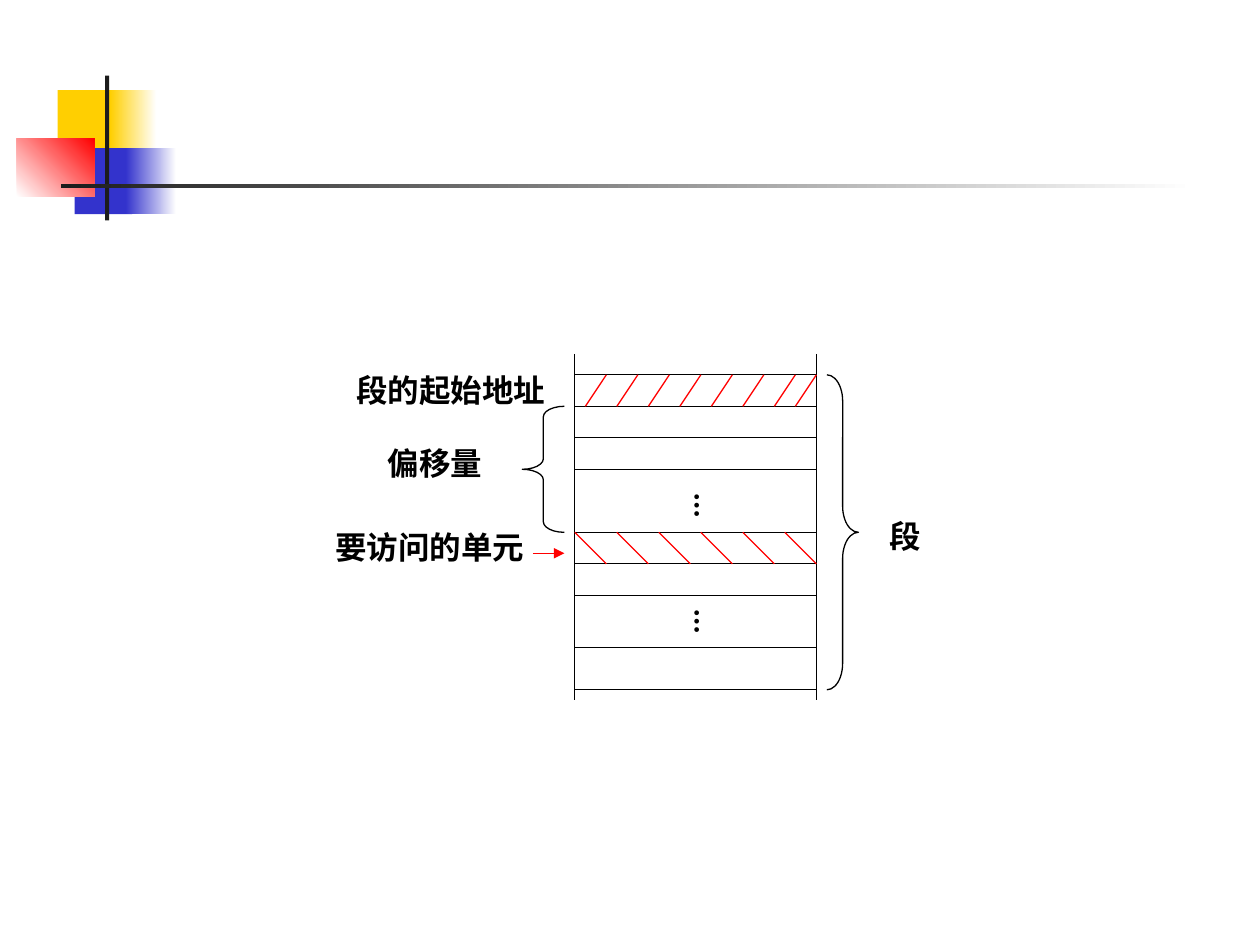
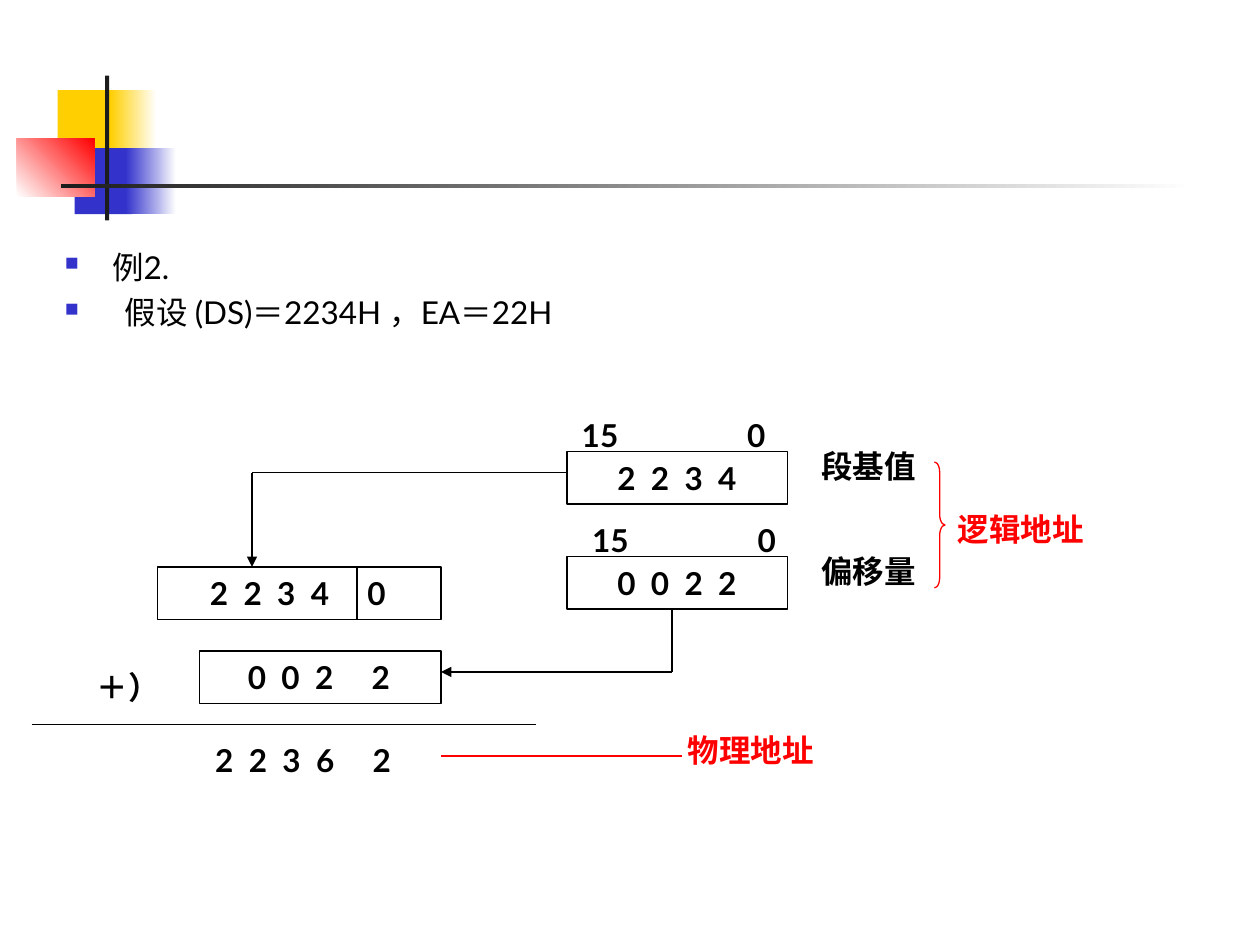
from dataclasses import dataclass
from itertools import accumulate

from lxml import etree
from pptx import Presentation
from pptx.dml.color import RGBColor
from pptx.enum.shapes import MSO_CONNECTOR, MSO_SHAPE
from pptx.enum.text import MSO_ANCHOR, MSO_AUTO_SIZE, PP_ALIGN
from pptx.oxml.ns import qn
from pptx.util import Inches, Pt

RECT = MSO_SHAPE.RECTANGLE
LEFT, RIGHT = MSO_SHAPE.LEFT_BRACE, MSO_SHAPE.RIGHT_BRACE
LINE = MSO_CONNECTOR.STRAIGHT
MID, TOP = MSO_ANCHOR.MIDDLE, MSO_ANCHOR.TOP
GROW = MSO_AUTO_SIZE.SHAPE_TO_FIT_TEXT
START, CENTRE = PP_ALIGN.LEFT, PP_ALIGN.CENTER

BLACK = RGBColor(0x00, 0x00, 0x00)
WHITE = RGBColor(0xFF, 0xFF, 0xFF)
RED = RGBColor(0xFF, 0x00, 0x00)
GOLD = RGBColor(0xFF, 0xCF, 0x01)
BLUE = RGBColor(0x33, 0x33, 0xCC)
DARK = RGBColor(0x1C, 0x1C, 0x1C)

FACE = "Lato"
SIZE = Pt(18)
THIN = Pt(0.75)
WIDE, TALL = Inches(10), Inches(7.5)
COLS = 120                 # square grid: 120 columns by 90 rows
UNIT = WIDE / COLS
PAD = 1.2                  # side padding of a text box, in columns
LABEL = 4.8                # height of a one-line label, in rows


@dataclass(frozen=True)
class Area:
    """A slide with the grid point that its parts are measured from."""
    slide: object
    col: float = 0
    row: float = 0

    def point(self, col: float, row: float) -> tuple:
        return span(self.col + col), span(self.row + row)

    def box(self, col: float, row: float, wide: float, tall: float) -> tuple:
        return *self.point(col, row), span(wide), span(tall)


@dataclass(frozen=True)
class Block:
    place: tuple
    tint: RGBColor
    end: RGBColor | None = None
    angle: int = 0


@dataclass(frozen=True)
class Rule:
    start: tuple
    stop: tuple
    tint: RGBColor = BLACK
    arrow: bool = False


@dataclass(frozen=True)
class Label:
    text: str
    col: float
    row: float
    wide: float
    tint: RGBColor = BLACK


@dataclass(frozen=True)
class Brace:
    kind: MSO_SHAPE
    place: tuple
    curl: float
    tint: RGBColor = BLACK


@dataclass(frozen=True)
class Digits:
    """Figures spread over tab stops; first and gaps are in columns."""
    marks: tuple
    place: tuple
    first: float
    gaps: tuple
    framed: bool = False


def span(count: float) -> int:
    return round(count * UNIT)


# Drawing
def style(para, tint: RGBColor = BLACK, bold: bool = True) -> None:
    for run in para.runs:
        font = run.font
        font.name, font.size, font.bold = FACE, SIZE, bold
        font.color.rgb = tint


def draw_block(area: Area, item: Block) -> None:
    shape = area.slide.shapes.add_shape(RECT, *area.box(*item.place))
    shape.shadow.inherit = False
    shape.line.fill.background()
    if item.end is None:
        shape.fill.solid()
        shape.fill.fore_color.rgb = item.tint
        return
    shape.fill.gradient()
    shape.fill.gradient_angle = item.angle
    for stop, tint in zip(shape.fill.gradient_stops, (item.tint, item.end)):
        stop.color.rgb = tint


def draw_rule(area: Area, item: Rule) -> None:
    line = area.slide.shapes.add_connector(
        LINE, *area.point(*item.start), *area.point(*item.stop))
    line.line.color.rgb = item.tint
    line.line.width = THIN
    if item.arrow:
        etree.SubElement(line.line._get_or_add_ln(), qn("a:tailEnd"),
                         type="triangle")
    etree.SubElement(line._element.spPr, qn("a:effectLst"))


def draw_label(area: Area, item: Label) -> None:
    box = area.slide.shapes.add_textbox(
        *area.box(item.col, item.row, item.wide, LABEL))
    frame = box.text_frame
    frame.word_wrap = False
    frame.auto_size = GROW
    frame.text = item.text
    para = frame.paragraphs[0]
    para.alignment = CENTRE
    style(para, item.tint)


def draw_dots(area: Area, col: float, row: float) -> None:
    box = area.slide.shapes.add_textbox(*area.box(col, row, 6, 3.84))
    frame = box.text_frame
    frame.word_wrap = False
    frame.auto_size = GROW
    frame.margin_left = frame.margin_right = Inches(0.05)
    frame.margin_top = frame.margin_bottom = Inches(0.1)
    frame._txBody.bodyPr.set("vert", "eaVert")
    frame.text = "…"
    para = frame.paragraphs[0]
    para.alignment = CENTRE
    style(para)


def draw_brace(area: Area, item: Brace) -> None:
    shape = area.slide.shapes.add_shape(item.kind, *area.box(*item.place))
    shape.shadow.inherit = False
    shape.fill.background()
    shape.line.color.rgb = item.tint
    shape.line.width = THIN
    shape.adjustments[0] = item.curl


def draw_digits(area: Area, item: Digits) -> None:
    place = area.box(*item.place)
    shapes = area.slide.shapes
    if item.framed:
        shape = shapes.add_shape(RECT, *place)
        shape.shadow.inherit = False
        shape.fill.solid()
        shape.fill.fore_color.rgb = WHITE
        shape.line.color.rgb = BLACK
        shape.line.width = THIN
    else:
        shape = shapes.add_textbox(*place)
    frame = shape.text_frame
    frame.word_wrap = True
    frame.vertical_anchor = MID if item.framed else TOP
    frame.margin_left = span(item.first - item.place[0])
    frame.margin_right = 0
    frame.text = "\t".join(item.marks)
    para = frame.paragraphs[0]
    para.alignment = START
    tabs = etree.SubElement(para._p.get_or_add_pPr(), qn("a:tabLst"))
    for stop in accumulate(item.gaps):
        etree.SubElement(tabs, qn("a:tab"), pos=str(span(stop)), algn="l")
    style(para)


def draw_points(area: Area, place: tuple, points: tuple) -> None:
    """Square bullets; each point is its text and its indent in columns."""
    frame = area.slide.shapes.add_textbox(*area.box(*place)).text_frame
    frame.word_wrap = True
    for index, (text, indent) in enumerate(points):
        para = frame.add_paragraph() if index else frame.paragraphs[0]
        para.text = text
        props = para._p.get_or_add_pPr()
        props.set("marL", str(span(indent)))
        props.set("indent", str(-span(indent)))
        tint = etree.SubElement(props, qn("a:buClr"))
        etree.SubElement(tint, qn("a:srgbClr"), val=str(BLUE))
        etree.SubElement(props, qn("a:buSzPct"), val="60000")
        etree.SubElement(props, qn("a:buChar"), char="■")
        if index:
            para.space_before = Pt(4.5)
        style(para, bold=False)


# Shared header ornament
HEADER = (
    Block((5.5, 8.6, 5.8, 6.2), GOLD),
    Block((10.5, 8.6, 4.4, 6.2), GOLD, WHITE),
    Block((7.1, 14.1, 5.5, 6.3), BLUE),
    Block((12, 14.1, 4.8, 6.3), BLUE, WHITE),
    Block((1.6, 13.2, 7.4, 5.5), WHITE, RED, 45),
    Block((10, 7.2, 0.4, 13.8), DARK),
    Block((5.8, 17.5, 108, 0.4), DARK, WHITE),
)


def new_slide(deck) -> Area:
    area = Area(deck.slides.add_slide(deck.slide_layouts[6]))
    for item in HEADER:
        draw_block(area, item)
    return area


# Slide 1: a segment in memory
def build_segment(deck) -> None:
    area = Area(new_slide(deck).slide, 54.75, 33.7)
    edge, foot = 23, 33
    rows = (2, 5, 8, 11, 17, 20, 23, 28, 32)
    rules = [Rule((col, 0), (col, foot)) for col in (0, edge)]
    rules += [Rule((0, row), (edge, row)) for row in rows]
    rules += [Rule((col, 2), (col - 2, 5), RED)
              for col in (*range(3, edge - 1, 3), edge)]
    rules += [Rule((col, 17), (col + 3, 20), RED)
              for col in range(0, edge, 4)]
    rules.append(Rule((-4, 19), (-1, 19), RED, True))
    for item in rules:
        draw_rule(area, item)
    for row in (12.1, 23.1):
        draw_dots(area, 9, row)
    for item in (Label("段的起始地址", -22, 1, 20.4),
                 Label("偏移量", -19, 8, 11.4),
                 Label("要访问的单元", -24, 16, 20.4),
                 Label("段", 28, 15, 7)):
        draw_label(area, item)
    draw_brace(area, Brace(LEFT, (-5, 5, 4, 12), 0.25))
    draw_brace(area, Brace(RIGHT, (24, 2, 3, 30), 0.83))


# Slide 2: adding base and offset
def build_sum(deck) -> None:
    area = new_slide(deck)
    draw_points(area, (5, 23, 112.6, 11.2),
                (("例2.", 4.5), ("假设 (DS)＝2234H ，EA＝22H", 5.7)))
    step, jump, reach = 3.2, 5.4, 15.75
    four = (step,) * 3
    for item in (
            Digits(tuple("22340"), (15, 54, 27, 5), 20, (*four, jump), True),
            Digits(tuple("0022"), (19, 62, 23, 5), 23.6,
                   (step, step, jump), True),
            Digits(tuple("22362"), (15, 70, 28, LABEL), 20.5, (*four, jump)),
            Digits(tuple("2234"), (54, 43, 21, 5), 58.8, four, True),
            Digits(tuple("0022"), (54, 53, 21, 5), 58.8, four, True),
            Digits(("15", "0"), (52, 39, 24.4, LABEL), 55.4, (reach,)),
            Digits(("15", "0"), (52, 49, 26.4, LABEL), 56.4, (reach,))):
        draw_digits(area, item)
    for item in (Rule((34, 54), (34, 59)),
                 Rule((3, 69), (51, 69)),
                 Rule((54, 45), (24, 45)),
                 Rule((24, 45), (24, 54), arrow=True),
                 Rule((64, 58), (64, 64)),
                 Rule((64, 64), (42, 64), arrow=True),
                 Rule((42, 72), (65, 72), RED)):
        draw_rule(area, item)
    for item in (Label("＋）", 8, 63, 8.4),
                 Label("物理地址", 63, 69, 17, RED),
                 Label("段基值", 77, 42, 11.4),
                 Label("偏移量", 77, 52, 11.4),
                 Label("逻辑地址", 90, 48, 14.4, RED)):
        draw_label(area, item)
    draw_brace(area, Brace(RIGHT, (89, 44, 1, 12), 1, RED))


def main() -> None:
    deck = Presentation()
    deck.slide_width, deck.slide_height = WIDE, TALL
    build_segment(deck)
    build_sum(deck)
    deck.save("out.pptx")


if __name__ == "__main__":
    main()
